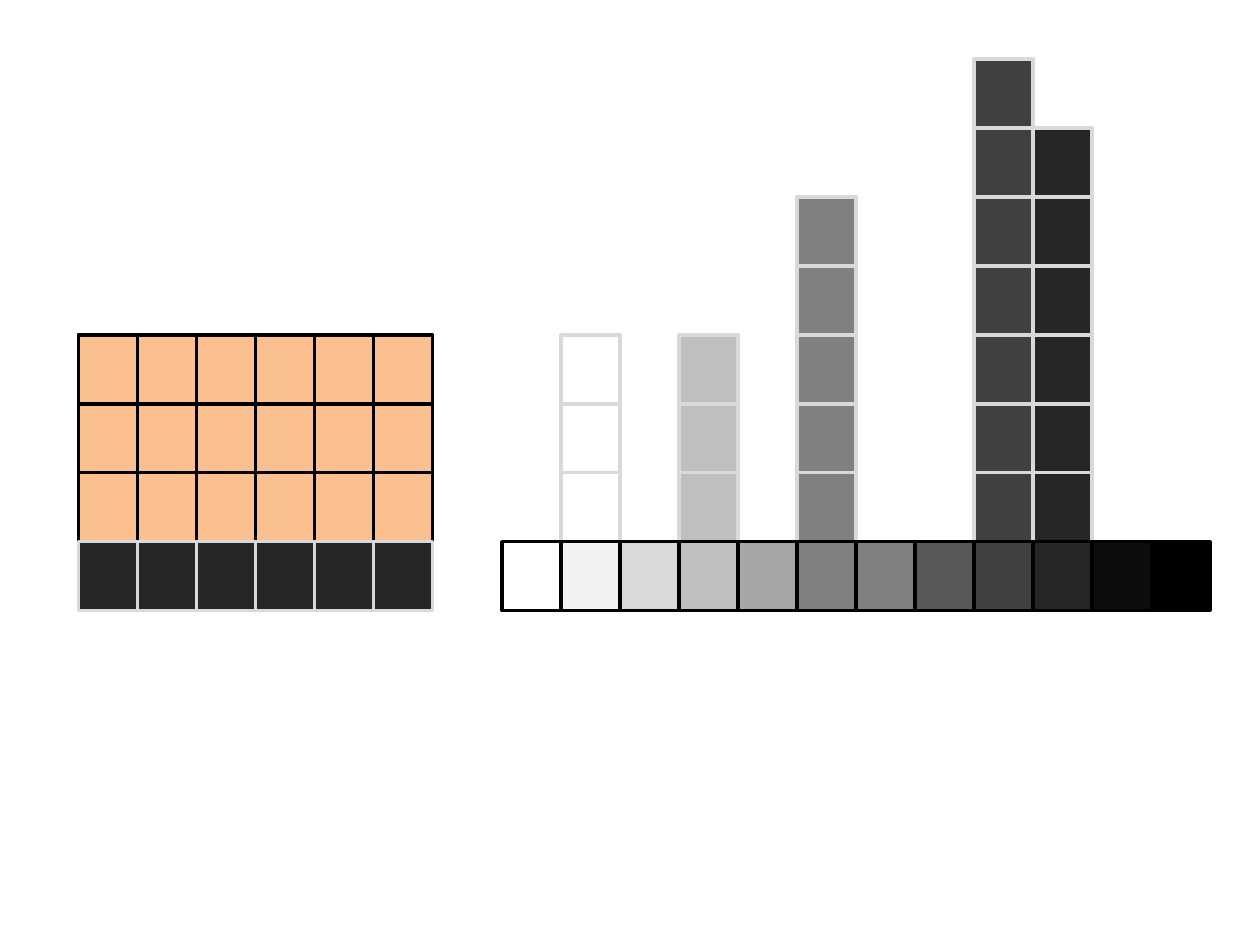
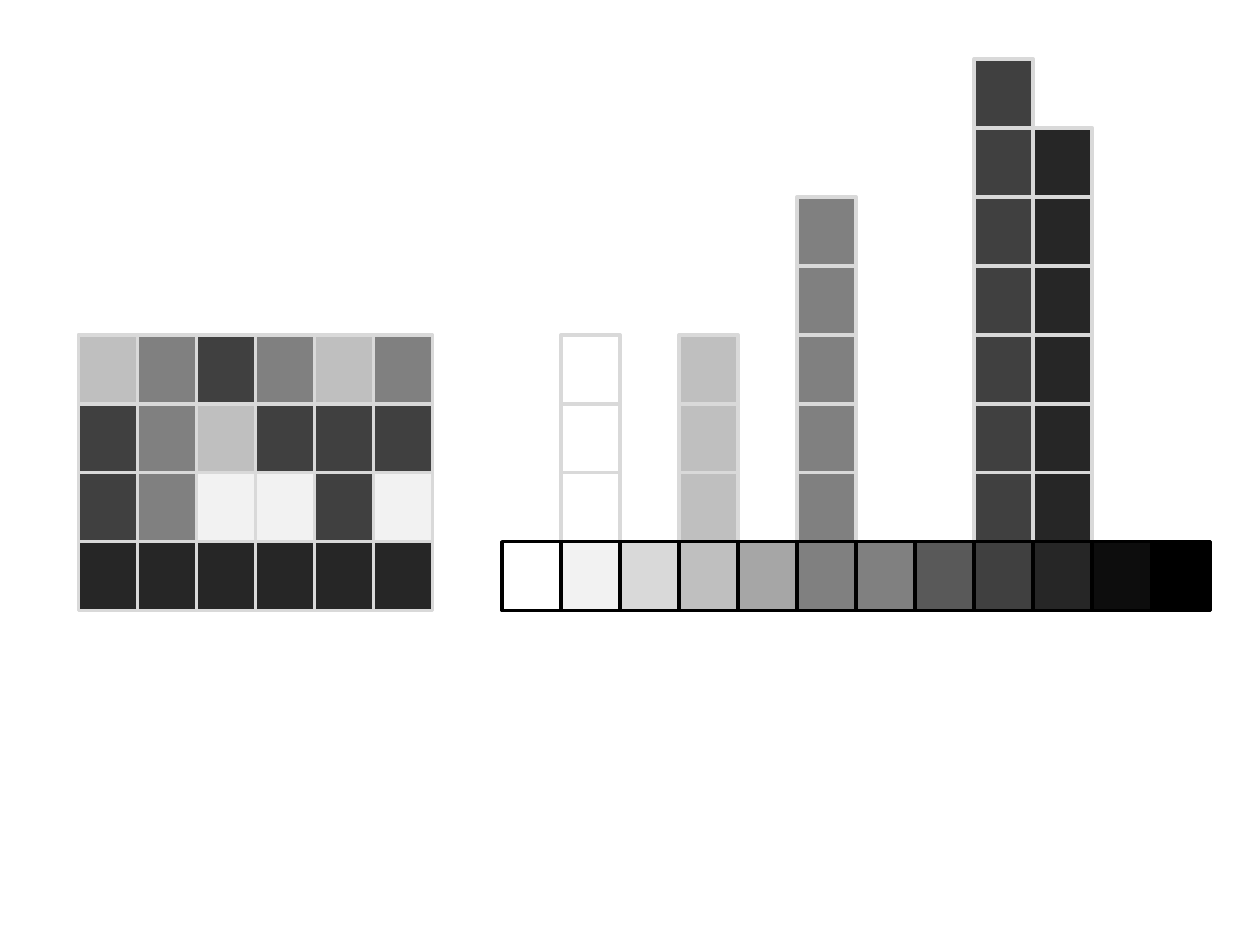
from pptx import Presentation
from pptx.dml.color import RGBColor
from pptx.enum.shapes import MSO_SHAPE
from pptx.util import Cm, Pt

CELL_WIDTH, CELL_HEIGHT = 1.19, 1.39
BASE_TOP = 10.92
PIXELS_LEFT, SCALE_LEFT = 1.58, 10.12

BLACK, WHITE, PALE, GRID_GRAY = "000000", "FFFFFF", "F2F2F2", "D9D9D9"
LIGHT, MIDDLE, DARK, DARKEST = "BFBFBF", "808080", "404040", "262626"
COVER = "FAC090"

SCALE = [WHITE, PALE, GRID_GRAY, LIGHT, "A6A6A6", MIDDLE,
         MIDDLE, "595959", DARK, DARKEST, "0D0D0D", BLACK]
# Histogram columns: position on the gray scale, number of pixels, colour
HISTOGRAM = [(1, 3, WHITE), (3, 3, LIGHT), (5, 5, MIDDLE), (8, 7, DARK), (9, 6, DARKEST)]

PIXEL_ROWS = [
    [LIGHT, MIDDLE, DARK, MIDDLE, LIGHT, MIDDLE],
    [DARK, MIDDLE, LIGHT, DARK, DARK, DARK],
    [DARK, MIDDLE, PALE, PALE, DARK, PALE],
    [DARKEST] * 6,
]
COVERED_ROWS = [[COVER] * 6] * 3 + [[DARKEST] * 6]


def rgb(color):
    return RGBColor.from_string(color)


def add_cell(shapes, left, level, fill, outline):
    """Add one grid cell, level rows above the base row."""
    cell = shapes.add_shape(
        MSO_SHAPE.RECTANGLE, Cm(left), Cm(BASE_TOP - level * CELL_HEIGHT),
        Cm(CELL_WIDTH), Cm(CELL_HEIGHT))
    cell.shadow.inherit = False
    cell.fill.solid()
    cell.fill.fore_color.rgb = rgb(fill)
    cell.line.color.rgb = rgb(outline)
    cell.line.width = Pt(2)


presentation = Presentation()
presentation.slide_width = Cm(25.4)
presentation.slide_height = Cm(19.05)
blank_layout = presentation.slide_layouts[6]

for pixel_rows in (COVERED_ROWS, PIXEL_ROWS):
    slide = presentation.slides.add_slide(blank_layout)

    # Pixel image, top row first
    for row, colors in enumerate(pixel_rows):
        row_group = slide.shapes.add_group_shape()
        for column, color in enumerate(colors):
            add_cell(row_group.shapes, PIXELS_LEFT + column * CELL_WIDTH,
                     len(pixel_rows) - 1 - row, color,
                     BLACK if color == COVER else GRID_GRAY)

    # Histogram columns standing on the gray scale
    for position, count, color in HISTOGRAM:
        column_group = slide.shapes.add_group_shape()
        for level in range(count, 0, -1):
            add_cell(column_group.shapes, SCALE_LEFT + position * CELL_WIDTH,
                     level, color, GRID_GRAY)

    # Gray scale
    scale_group = slide.shapes.add_group_shape()
    for position, color in enumerate(SCALE):
        add_cell(scale_group.shapes, SCALE_LEFT + position * CELL_WIDTH, 0, color, BLACK)

presentation.save("out.pptx")
